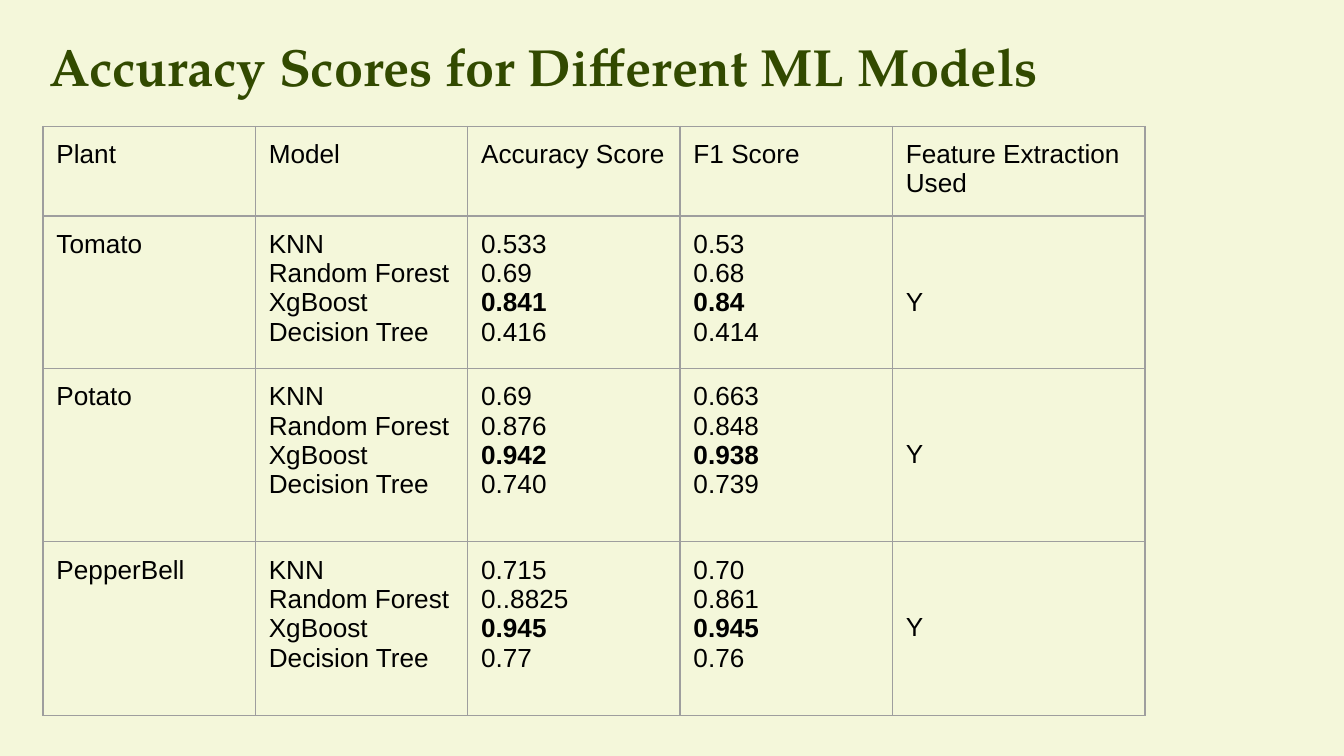
from lxml import etree
from pptx import Presentation
from pptx import util as u
from pptx.dml.color import RGBColor
from pptx.enum import text
from pptx.oxml import ns

MODELS = ["KNN", "Random Forest", "XgBoost", "Decision Tree"]
BEST = MODELS.index("XgBoost")
HEADINGS = ["Plant", "Model", "Accuracy Score", "F1 Score", "Feature Extraction Used"]
SCORES = [
    ("Tomato", ["0.533", "0.69", "0.841", "0.416"], ["0.53", "0.68", "0.84", "0.414"]),
    ("Potato", ["0.69", "0.876", "0.942", "0.740"], ["0.663", "0.848", "0.938", "0.739"]),
    ("PepperBell", ["0.715", "0..8825", "0.945", "0.77"], ["0.70", "0.861", "0.945", "0.76"]),
]
COLUMN_WIDTHS = [1.58, 1.58, 1.58, 1.58, 1.88]
ROW_HEIGHTS = [0.64, 1.08, 1.29, 1.29]
TITLE_FORMAT = {"name": "TeX Gyre Pagella", "size": u.Pt(28), "bold": True}
BODY_FORMAT = {"name": "Arial", "size": u.Pt(14), "bold": False}
MARGINS = dict.fromkeys(
    ["margin_left", "margin_top", "margin_right", "margin_bottom"], u.Inches(0.1))


def color(value):
    """Turn a hex string into a colour."""
    return RGBColor.from_string(value)


def apply(target, values):
    """Set each attribute named in a dict of format values."""
    for name, value in values.items():
        setattr(target, name, value)


def write_lines(frame, lines, values, ink, bold_line=None):
    """Write one paragraph per line, with one line optionally bold."""
    for index, line in enumerate(lines):
        paragraph = frame.paragraphs[0] if index == 0 else frame.add_paragraph()
        run = paragraph.add_run()
        run.text = line
        apply(run.font, values)
        run.font.color.rgb = color(ink)
        if index == bold_line:
            run.font.bold = True


def add_title(slide, title):
    """Add the slide heading."""
    box = slide.shapes.add_textbox(
        u.Inches(0.27), u.Inches(0.16), u.Inches(7.74), u.Inches(0.65))
    frame = box.text_frame
    apply(frame, {**MARGINS, "word_wrap": True,
                  "vertical_anchor": text.MSO_ANCHOR.MIDDLE})
    write_lines(frame, [title], TITLE_FORMAT, "324A00")


def add_borders(cell, line_color, points):
    """Draw a solid line on all four sides of a cell."""
    properties = cell._tc.get_or_add_tcPr()
    for position, side in enumerate(["lnL", "lnR", "lnT", "lnB"]):
        line = etree.Element(ns.qn(f"a:{side}"), w=str(u.Pt(points)))
        fill = etree.SubElement(line, ns.qn("a:solidFill"))
        etree.SubElement(fill, ns.qn("a:srgbClr"), val=line_color)
        properties.insert(position, line)


def fill_cell(cell, lines, bold_line=None, top=0.1):
    """Format a cell and write its lines."""
    apply(cell, {**MARGINS, "margin_top": u.Inches(top)})
    cell.fill.background()
    add_borders(cell, "9E9E9E", 0.75)
    write_lines(cell.text_frame, lines, BODY_FORMAT, "000000", bold_line)


def add_score_table(slide):
    """Add the table of scores by plant and model."""
    table = slide.shapes.add_table(
        len(ROW_HEIGHTS), len(COLUMN_WIDTHS), u.Inches(0.32), u.Inches(0.94),
        u.Inches(sum(COLUMN_WIDTHS)), u.Inches(sum(ROW_HEIGHTS))).table
    apply(table, {"first_row": False, "horz_banding": False})
    for column, width in zip(table.columns, COLUMN_WIDTHS):
        column.width = u.Inches(width)
    for row, height in zip(table.rows, ROW_HEIGHTS):
        row.height = u.Inches(height)

    for column, heading in enumerate(HEADINGS):
        fill_cell(table.cell(0, column), [heading])
    for row, (plant, accuracy, f1) in enumerate(SCORES, start=1):
        fill_cell(table.cell(row, 0), [plant])
        fill_cell(table.cell(row, 1), MODELS)
        fill_cell(table.cell(row, 2), accuracy, BEST)
        fill_cell(table.cell(row, 3), f1, BEST)
        fill_cell(table.cell(row, 4), ["Y"], top=0.53)


def main():
    """Build and save the slide."""
    deck = Presentation()
    apply(deck, {"slide_width": u.Inches(10), "slide_height": u.Inches(10) * 9 // 16})
    slide = deck.slides.add_slide(deck.slide_layouts[6])
    slide.background.fill.solid()
    slide.background.fill.fore_color.rgb = color("F4F7DA")
    add_title(slide, "Accuracy Scores for Different ML Models")
    add_score_table(slide)
    deck.save("out.pptx")


if __name__ == "__main__":
    main()
